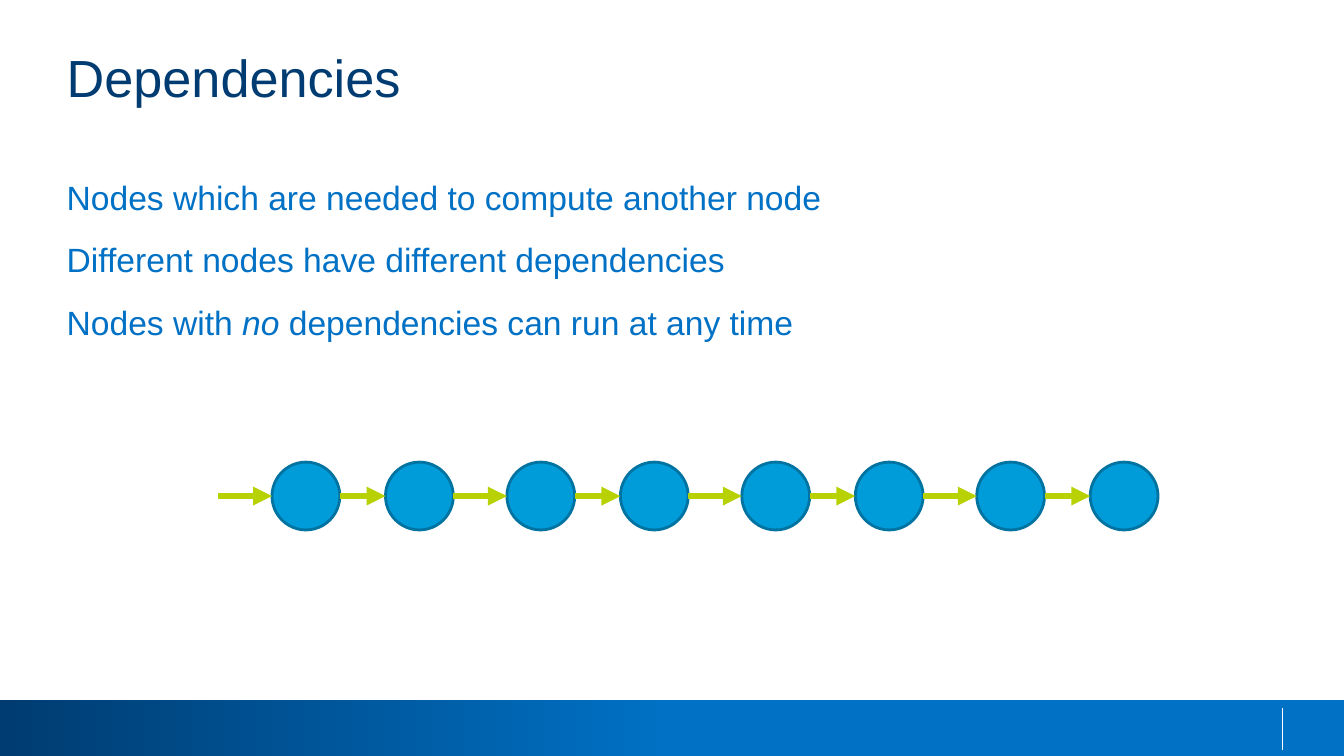
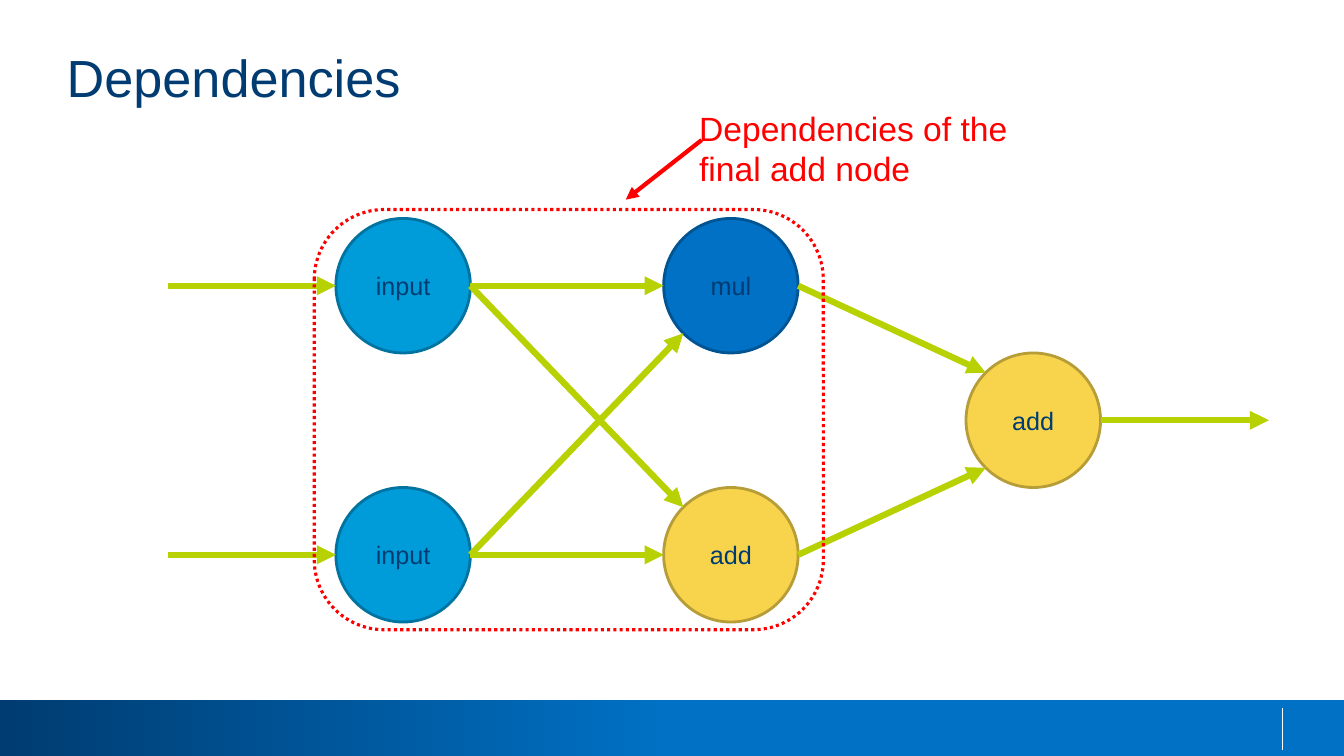
from dataclasses import dataclass
from math import cos, pi, sin

from lxml import etree
from pptx import Presentation
from pptx import util as u
from pptx.dml import color
from pptx.enum import dml, shapes, text
from pptx.oxml import ns

# Shared style: colours, formats and places (lengths in centimetres)
NAVY, BLUE, WHITE, GREEN, RED = "003C71", "0071C5", "FFFFFF", "B7D103", "FF0000"
INPUT, MUL, ADD = ("009CDA", "0073A1"), (BLUE, "005492"), ("F8D44C", "B79D38")
TITLE_FONT = {"name": "Arial", "size": u.Pt(37.3)}
BODY_FONT = {"name": "Arial", "size": u.Pt(24)}
NODE_FONT = {"name": "Arial", "size": u.Pt(18)}
FLUSH = {"margin_left": 0, "margin_top": 0, "margin_right": 0, "margin_bottom": 0,
         "vertical_anchor": text.MSO_ANCHOR.TOP, "word_wrap": True,
         "auto_size": text.MSO_AUTO_SIZE.NONE}
WIDTH, HEIGHT = 33.87, 19.05
TITLE_AREA = (1.68, 1.14, 30.48, 3.23)
BODY_AREA = (1.68, 4.45, 30.45, 12.7)
LEFT, UPPER_LEFT, LOWER_LEFT, RIGHT = pi, 1.25 * pi, 0.75 * pi, 0.0

Point = tuple[float, float]
Area = tuple[float, float, float, float]


@dataclass(frozen=True)
class Node:
    x: float
    y: float
    diameter: float
    colours: tuple[str, str]
    label: str = ""

    def edge(self, angle: float) -> Point:
        radius = self.diameter / 2
        return self.x + radius * cos(angle), self.y + radius * sin(angle)


@dataclass(frozen=True)
class Arrow:
    start: Point
    end: Point
    colour: str = GREEN
    weight: float = 4.5


# Drawing helpers
def rgb(value: str) -> color.RGBColor:
    return color.RGBColor.from_string(value)


def lengths(values: tuple[float, ...]) -> list[u.Cm]:
    return [u.Cm(value) for value in values]


def apply(target, formats: dict) -> None:
    for name, value in formats.items():
        setattr(target, name, value)


def add_span(para, words: str, font: dict, colour: str, italic: bool = False) -> None:
    span = para.add_run()
    span.text = words
    apply(span.font, {**font, "italic": italic})
    span.font.color.rgb = rgb(colour)


def set_line(line, colour: str, weight: float) -> None:
    line.color.rgb = rgb(colour)
    line.width = u.Pt(weight)


def add_line(page, start: Point, end: Point, colour: str, weight: float):
    line = page.shapes.add_connector(shapes.MSO_CONNECTOR.STRAIGHT,
                                     *lengths(start + end))
    set_line(line.line, colour, weight)
    etree.SubElement(line._element.spPr, ns.qn("a:effectLst"))
    return line


def add_arrow(page, arrow: Arrow) -> None:
    line = add_line(page, arrow.start, arrow.end, arrow.colour, arrow.weight)
    etree.SubElement(line.line._get_or_add_ln(), ns.qn("a:tailEnd"), type="triangle")


def add_shape(page, kind, area: Area):
    shape = page.shapes.add_shape(kind, *lengths(area))
    shape.shadow.inherit = False
    return shape


def add_node(page, node: Node) -> None:
    radius = node.diameter / 2
    circle = add_shape(page, shapes.MSO_SHAPE.OVAL,
                       (node.x - radius, node.y - radius, node.diameter, node.diameter))
    fill, outline = node.colours
    circle.fill.solid()
    circle.fill.fore_color.rgb = rgb(fill)
    set_line(circle.line, outline, 2)
    if node.label:
        circle.text_frame.vertical_anchor = text.MSO_ANCHOR.MIDDLE
        para = circle.text_frame.paragraphs[0]
        para.alignment = text.PP_ALIGN.CENTER
        add_span(para, node.label, NODE_FONT, NAVY)


def place(box, area: Area) -> None:
    apply(box, dict(zip(("left", "top", "width", "height"), lengths(area))))
    apply(box.text_frame, FLUSH)


def add_page(deck, layout: int, title: str):
    page = deck.slides.add_slide(deck.slide_layouts[layout])
    place(page.shapes.title, TITLE_AREA)
    para = page.shapes.title.text_frame.paragraphs[0]
    para.alignment = text.PP_ALIGN.LEFT
    add_span(para, title, TITLE_FONT, NAVY)
    return page


def add_master_band(deck, page) -> None:
    """Draw the footer band and move it to the slide master."""
    band = add_shape(page, shapes.MSO_SHAPE.RECTANGLE, (0, 17.64, WIDTH, 1.41))
    band.line.fill.background()
    band.fill.gradient()
    band.fill.gradient_angle = 0
    for stop, colour, position in zip(band.fill.gradient_stops, (NAVY, BLUE), (0, 0.5)):
        stop.color.rgb = rgb(colour)
        stop.position = position
    divider = add_line(page, (32.33, 17.83), (32.33, 18.9), WHITE, 0.75)
    for part in (band, divider):
        deck.slide_master.shapes._spTree.append(part._element)


# Slide 1: list and chain of nodes
def build_chain(deck):
    page = add_page(deck, 1, "Dependencies")
    body = page.placeholders[1]
    place(body, BODY_AREA)
    lines = [[("Nodes which are needed to compute another node", False)],
             [("Different nodes have different dependencies", False)],
             [("Nodes with ", False), ("no", True),
              (" dependencies can run at any time", False)]]
    for index, spans in enumerate(lines):
        frame = body.text_frame
        para = frame.add_paragraph() if index else frame.paragraphs[0]
        para.space_before = u.Pt(16)
        properties = para._p.get_or_add_pPr()
        properties.set("marL", "0")
        properties.set("indent", "0")
        etree.SubElement(properties, ns.qn("a:buNone"))
        for words, italic in spans:
            add_span(para, words, BODY_FONT, BLUE, italic)

    middle, pair_step, node_step = 12.5, 5.92, 2.86
    nodes = [Node(7.71 + pair * pair_step + member * node_step, middle, 1.71, INPUT)
             for pair in range(4) for member in range(2)]
    starts = [(5.49, middle)] + [node.edge(RIGHT) for node in nodes[:-1]]
    for node in nodes:
        add_node(page, node)
    for start, node in zip(starts, nodes):
        add_arrow(page, Arrow(start, node.edge(LEFT)))
    return page


# Slide 2: graph with the dependencies of its last node framed
def build_graph(deck) -> None:
    page = add_page(deck, 5, "Dependencies")
    diameter, reach = 3.39, 4.24
    upper, middle, lower = (7.2 + row * diameter for row in range(3))
    first = Node(10.16, upper, diameter, INPUT, "input")
    second = Node(10.16, lower, diameter, INPUT, "input")
    product = Node(18.42, upper, diameter, MUL, "mul")
    total = Node(18.42, lower, diameter, ADD, "add")
    final = Node(26.04, middle, diameter, ADD, "add")
    for node in (first, second, product, total, final):
        add_node(page, node)

    for node in (first, second):
        x, y = node.edge(LEFT)
        add_arrow(page, Arrow((x - reach, y), (x, y)))
    links = [(first, product, LEFT), (first, total, UPPER_LEFT),
             (second, total, LEFT), (second, product, LOWER_LEFT),
             (product, final, UPPER_LEFT), (total, final, LOWER_LEFT)]
    for source, target, side in links:
        add_arrow(page, Arrow(source.edge(RIGHT), target.edge(side)))
    x, y = final.edge(RIGHT)
    add_arrow(page, Arrow((x, y), (x + reach, y)))

    # Frame and callout
    frame = add_shape(page, shapes.MSO_SHAPE.ROUNDED_RECTANGLE,
                      (7.92, 5.28, 12.83, 10.59))
    frame.fill.background()
    set_line(frame.line, RED, 2.25)
    frame.line.dash_style = dml.MSO_LINE.ROUND_DOT
    add_arrow(page, Arrow((17.68, 3.53), (15.77, 5.03), RED, 3))
    callout = page.shapes.add_textbox(*lengths((17.37, 2.59, 9.32, 2.31)))
    callout.text_frame.word_wrap = True
    for index, words in enumerate(("Dependencies of the ", "final add node")):
        paras = callout.text_frame
        para = paras.add_paragraph() if index else paras.paragraphs[0]
        add_span(para, words, BODY_FONT, RED)


deck = Presentation()
deck.slide_width, deck.slide_height = lengths((WIDTH, HEIGHT))
add_master_band(deck, build_chain(deck))
build_graph(deck)
deck.save("out.pptx")
